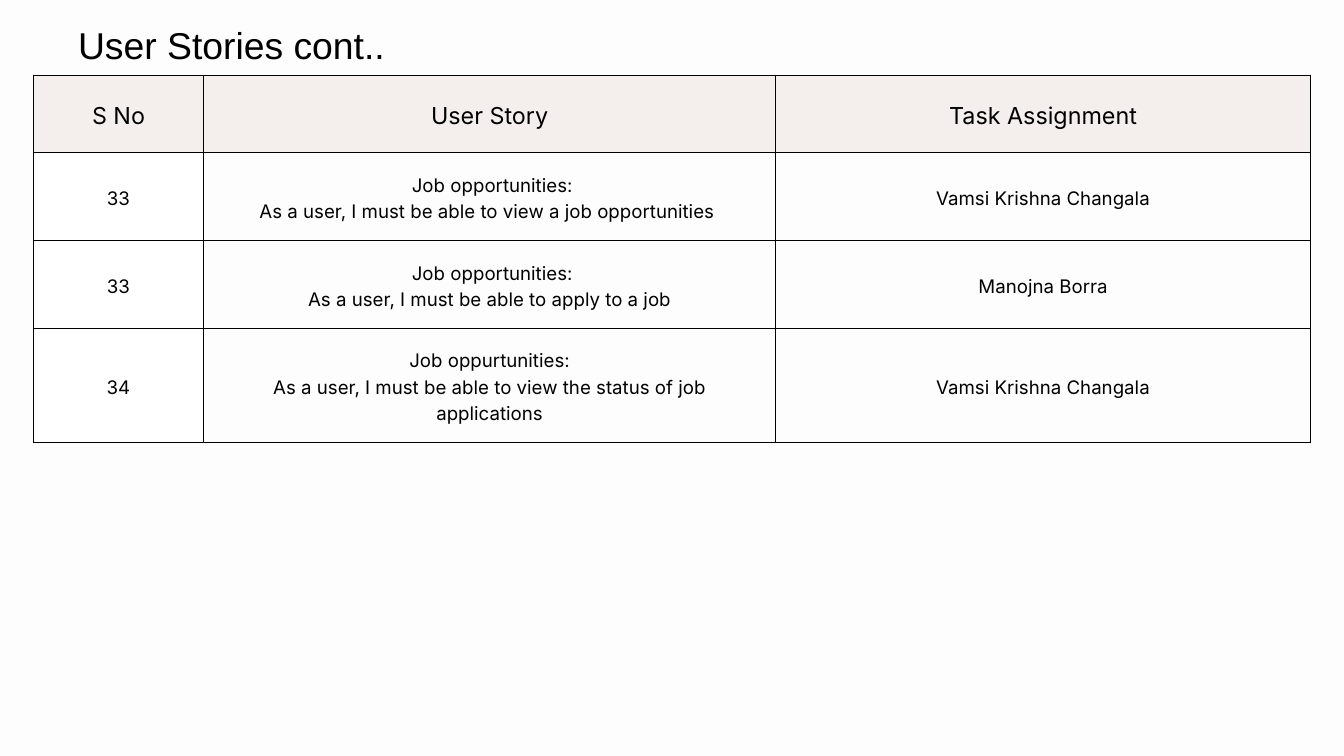
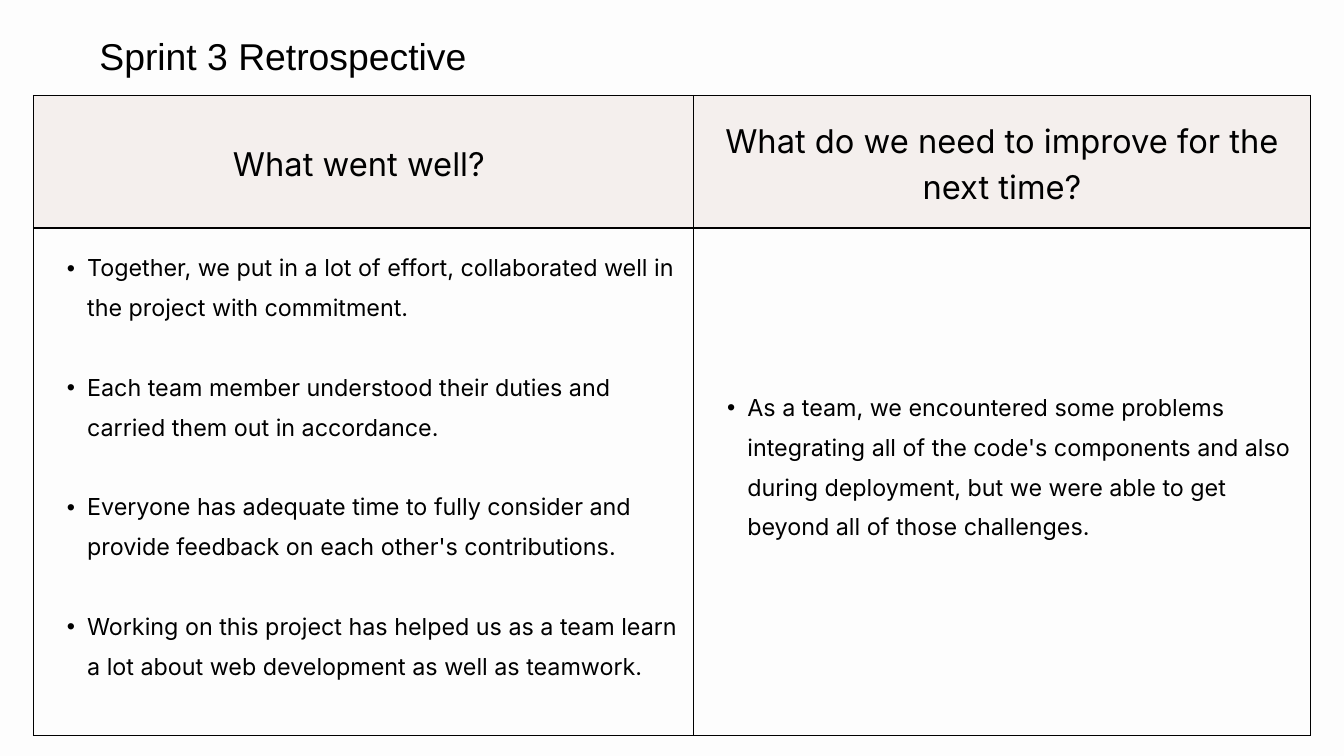
from dataclasses import dataclass

from lxml import etree
from pptx import Presentation
from pptx import util as u
from pptx.dml.color import RGBColor
from pptx.enum import text as t
from pptx.oxml import ns

BLACK = "000000"
WHITE = "FFFFFF"
PAGE = "FDFDFD"
HEADER = "F4EFED"
TITLE_FONT = "Arial"
BODY_FONT = "Inter"
TABLE_LEFT = 35.9
CELL_MARGIN = 15
BORDER_WIDTH = 1.5
BULLET_LINE = 42.7


@dataclass(frozen=True)
class Title:
    text: str
    left: float
    top: float
    width: float
    height: float = 53.3


@dataclass(frozen=True)
class CellStyle:
    fill: str
    size: float
    line: float
    after: float = 0
    bullet: bool = False


@dataclass(frozen=True)
class Grid:
    top: float
    widths: list[float]
    heights: list[float]
    rows: list[list[str]]
    header: CellStyle
    body: list[CellStyle]


NUMBER_CELL = CellStyle(WHITE, 20, 28)
STORY_CELL = CellStyle(PAGE, 20, 28)
BULLET_CELL = CellStyle(PAGE, 25, BULLET_LINE, after=BULLET_LINE, bullet=True)

STORIES_TITLE = Title("User Stories cont..", 15.8, 15.5, 464.4)
STORIES = Grid(
    top=80.6,
    widths=[182.2, 613, 573],
    heights=[82.8, 94.3, 94.3, 122.1],
    rows=[
        ["S No", "User Story", "Task Assignment"],
        ["33", " Job opportunities:\nAs a user, I must be able to view a job opportunities ",
         "Vamsi Krishna Changala"],
        ["33", " Job opportunities:\nAs a user, I must be able to apply to a job",
         "Manojna Borra"],
        ["34", "Job oppurtunities:\nAs a user, I must be able to view the status of job applications",
         "Vamsi Krishna Changala"],
    ],
    header=CellStyle(HEADER, 25, 35),
    body=[NUMBER_CELL, STORY_CELL, STORY_CELL],
)

RETROSPECTIVE_TITLE = Title("Sprint 3 Retrospective", 12.2, 27.4, 581.8)
WENT_WELL = "\n".join([
    "Together, we put in a lot of effort, collaborated well in the project with commitment.",
    "Each team member understood their duties and carried them out in accordance.",
    "Everyone has adequate time to fully consider and provide feedback on each other's contributions.",
    "Working on this project has helped us as a team learn a lot about web development as well as teamwork.",
])
TO_IMPROVE = (
    "As a team, we encountered some problems integrating all of the code's components "
    "and also during deployment, but we were able to get beyond all of those challenges."
)
RETROSPECTIVE = Grid(
    top=102.2,
    widths=[707.4, 660.8],
    heights=[142.2, 543.5],
    rows=[
        ["What went well? ", "What do we need to improve for the next time?"],
        [WENT_WELL, TO_IMPROVE],
    ],
    header=CellStyle(HEADER, 35, 49),
    body=[BULLET_CELL, BULLET_CELL],
)


def color(value: str) -> RGBColor:
    return RGBColor.from_string(value)


def add_bullet(paragraph) -> None:
    paragraph.level = 1
    properties = paragraph._p.get_or_add_pPr()
    properties.set("marL", str(u.Pt(42.5)))
    properties.set("indent", str(u.Pt(-21.6)))
    etree.SubElement(properties, ns.qn("a:buFont")).set("typeface", "Arial")
    etree.SubElement(properties, ns.qn("a:buChar")).set("char", "•")


def write(frame, content: str, *, font: str, size: float, line: float,
          after: float = 0, bullet: bool = False) -> None:
    frame.word_wrap = True
    for index, words in enumerate(content.split("\n")):
        paragraph = frame.add_paragraph() if index else frame.paragraphs[0]
        paragraph.alignment = t.PP_ALIGN.LEFT if bullet else t.PP_ALIGN.CENTER
        paragraph.line_spacing = u.Pt(line)
        paragraph.space_before = u.Pt(0)
        paragraph.space_after = u.Pt(after)
        if bullet:
            add_bullet(paragraph)
        run = paragraph.add_run()
        run.text = words
        run.font.name = font
        run.font.size = u.Pt(size)
        run.font.color.rgb = color(BLACK)


def add_borders(cell) -> None:
    properties = cell._tc.get_or_add_tcPr()
    for side in ("lnL", "lnR", "lnT", "lnB"):
        border = etree.SubElement(properties, ns.qn(f"a:{side}"))
        border.set("w", str(u.Pt(BORDER_WIDTH)))
        fill = etree.SubElement(border, ns.qn("a:solidFill"))
        etree.SubElement(fill, ns.qn("a:srgbClr")).set("val", BLACK)


def format_cell(cell, content: str, style: CellStyle) -> None:
    cell.margin_left = cell.margin_right = cell.margin_top = u.Pt(CELL_MARGIN)
    cell.margin_bottom = u.Pt(CELL_MARGIN + style.after)
    cell.vertical_anchor = t.MSO_ANCHOR.MIDDLE
    add_borders(cell)
    cell.fill.solid()
    cell.fill.fore_color.rgb = color(style.fill)
    write(cell.text_frame, content, font=BODY_FONT, size=style.size,
          line=style.line, after=style.after, bullet=style.bullet)


def add_grid(slide, grid: Grid) -> None:
    table = slide.shapes.add_table(
        len(grid.heights), len(grid.widths), u.Pt(TABLE_LEFT), u.Pt(grid.top),
        u.Pt(sum(grid.widths)), u.Pt(sum(grid.heights)),
    ).table
    table.first_row = False
    table.horz_banding = False
    for column, width in zip(table.columns, grid.widths):
        column.width = u.Pt(width)
    for row, height in zip(table.rows, grid.heights):
        row.height = u.Pt(height)
    for row_index, contents in enumerate(grid.rows):
        for column_index, content in enumerate(contents):
            style = grid.body[column_index] if row_index else grid.header
            format_cell(table.cell(row_index, column_index), content, style)


def place_title(slide, title: Title) -> None:
    shape = slide.shapes.title
    shape.left, shape.top = u.Pt(title.left), u.Pt(title.top)
    shape.width, shape.height = u.Pt(title.width), u.Pt(title.height)
    frame = shape.text_frame
    frame.margin_left = frame.margin_right = 0
    frame.margin_top = frame.margin_bottom = 0
    frame.vertical_anchor = t.MSO_ANCHOR.TOP
    frame.auto_size = t.MSO_AUTO_SIZE.SHAPE_TO_FIT_TEXT
    write(frame, title.text, font=TITLE_FONT, size=40, line=56)


def add_table_slide(presentation, title: Title, grid: Grid) -> None:
    layout = presentation.slide_layouts.get_by_name("Title Only")
    slide = presentation.slides.add_slide(layout)
    place_title(slide, title)
    add_grid(slide, grid)


def main() -> None:
    presentation = Presentation()
    presentation.slide_width = u.Pt(1440)
    presentation.slide_height = u.Pt(810)
    background = presentation.slide_master.background.fill
    background.solid()
    background.fore_color.rgb = color(PAGE)
    add_table_slide(presentation, STORIES_TITLE, STORIES)
    add_table_slide(presentation, RETROSPECTIVE_TITLE, RETROSPECTIVE)
    presentation.save("out.pptx")


if __name__ == "__main__":
    main()
